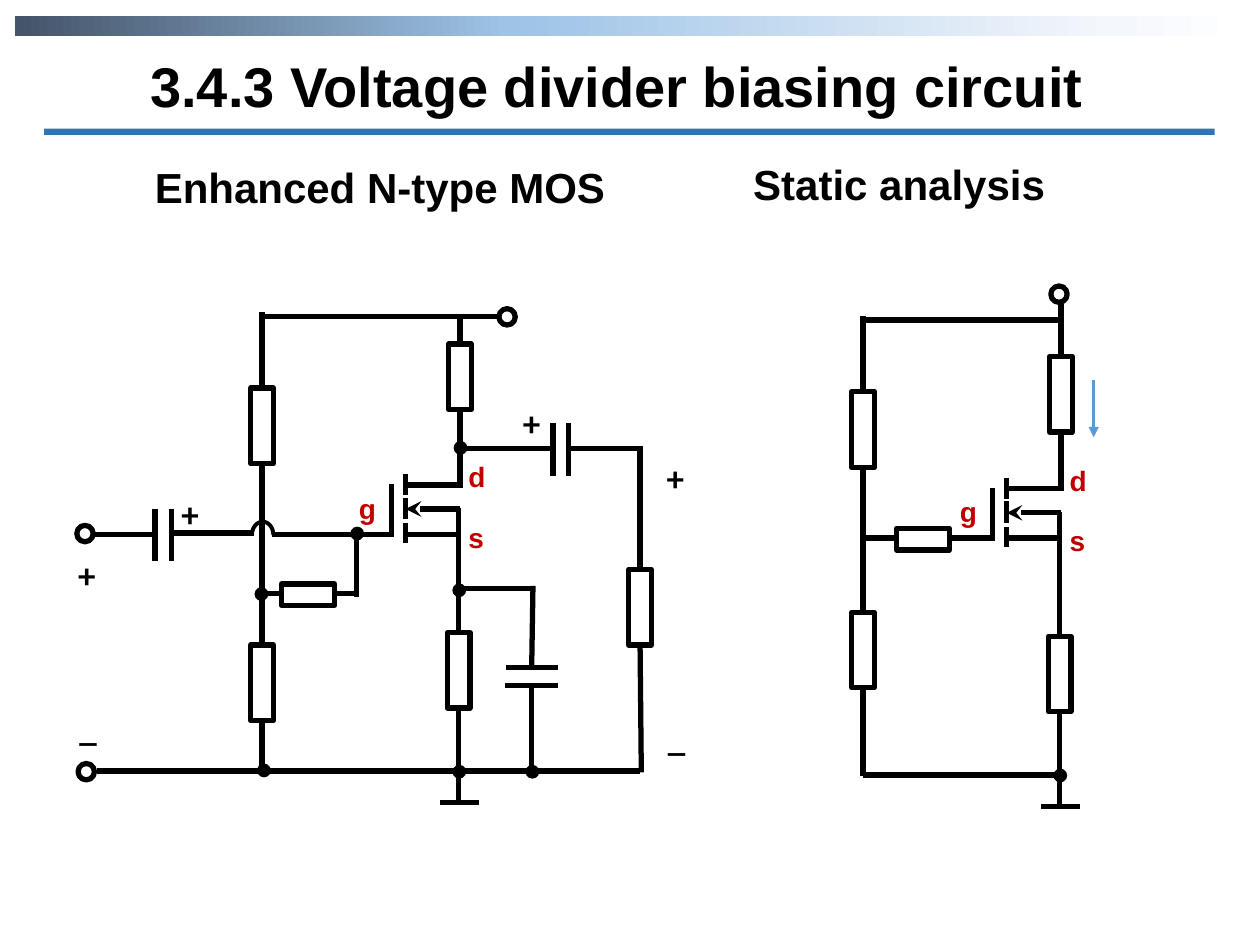
"""Build the voltage divider biasing slide: an amplifier circuit beside its static equivalent."""
from lxml.etree import SubElement
from pptx import Presentation
from pptx.dml.color import RGBColor
from pptx.enum.shapes import MSO_CONNECTOR, MSO_SHAPE
from pptx.enum.text import MSO_AUTO_SIZE, PP_ALIGN
from pptx.oxml.ns import qn
from pptx.util import Pt

PX = 9144
BLACK = RGBColor(0x00, 0x00, 0x00)
WHITE = RGBColor(0xFF, 0xFF, 0xFF)
RED = RGBColor(0xC0, 0x00, 0x00)
RULE_BLUE = RGBColor(0x2E, 0x75, 0xB6)
ARROW_BLUE = RGBColor(0x5B, 0x9B, 0xD5)
BANNER_STOPS = [(0, "44546A"), (40, "9DC3E6"), (89, "F4F7FC"), (100, "FFFFFF")]

presentation = Presentation()
presentation.slide_width = 1000 * PX
presentation.slide_height = 750 * PX
slide = presentation.slides.add_slide(presentation.slide_layouts[6])


def add_wire(x1, y1, x2, y2, color=BLACK, width=3, head=None):
    wire = slide.shapes.add_connector(
        MSO_CONNECTOR.STRAIGHT, x1 * PX, y1 * PX, x2 * PX, y2 * PX)
    wire.line.color.rgb = color
    wire.line.width = Pt(width)
    if head:
        SubElement(wire.line._get_or_add_ln(), qn("a:tailEnd"), type=head)
    SubElement(wire._element.spPr, qn("a:effectLst"))
    return wire


def add_text(text, x, y, width, height, size, color=BLACK, font="Arial",
             align=PP_ALIGN.JUSTIFY, inset=True):
    frame = slide.shapes.add_textbox(x * PX, y * PX, width * PX, height * PX).text_frame
    frame.word_wrap = inset
    frame.auto_size = MSO_AUTO_SIZE.SHAPE_TO_FIT_TEXT
    if not inset:
        frame.margin_left = frame.margin_right = frame.margin_top = frame.margin_bottom = 0
    paragraph = frame.paragraphs[0]
    paragraph.text = text
    paragraph.alignment = align
    paragraph.font.name = font
    paragraph.font.size = Pt(size)
    paragraph.font.bold = True
    paragraph.font.color.rgb = color


banner = slide.shapes.add_shape(MSO_SHAPE.RECTANGLE, 12 * PX, 13 * PX, 976 * PX, 16 * PX)
banner.shadow.inherit = False
banner.line.fill.background()
banner.fill.gradient()
banner.fill.gradient_angle = 0
stop_list = banner._element.spPr.find(".//" + qn("a:gsLst"))
for stop in list(stop_list):
    stop_list.remove(stop)
for position, color in BANNER_STOPS:
    stop = SubElement(stop_list, qn("a:gs"), pos=str(position * 1000))
    SubElement(stop, qn("a:srgbClr"), val=color)

add_text("3.4.3 Voltage divider biasing circuit ", 67, 36, 858, 64, 32, align=PP_ALIGN.CENTER)
rule = slide.shapes.add_shape(MSO_SHAPE.RECTANGLE, 35 * PX, 102 * PX, 929 * PX, 5 * PX)
rule.shadow.inherit = False
rule.fill.solid()
rule.fill.fore_color.rgb = RULE_BLUE
rule.line.fill.background()
add_text("Enhanced N-type MOS", 113, 123, 378, 50, 24)
add_text("Static analysis", 588, 121, 263, 50, 24)

for x, y, upper_end, lower_end in [
    (355, 502, (364, 403), (364, 637)),
    (832, 505, (841, 406), (841, 640)),
    (499, 452, (508, 354), (509, 613)),
]:
    resistor = slide.shapes.add_shape(MSO_SHAPE.RECTANGLE, x * PX, y * PX, 18 * PX, 60 * PX)
    resistor.shadow.inherit = False
    resistor.fill.background()
    resistor.line.color.rgb = BLACK
    resistor.line.width = Pt(3)
    add_wire(*upper_end, x + 9, y).end_connect(resistor, 0)
    add_wire(x + 9, y + 60, *lower_end).begin_connect(resistor, 2)

for dx, dy in [(0, 0), (477, 3)]:
    for x1, y1, x2, y2, head in [
        (322, 376, 322, 393, None),
        (322, 395, 322, 412, None),
        (322, 415, 322, 431, None),
        (322, 385, 365, 385, None),
        (322, 424, 365, 424, None),
        (365, 404, 322, 404, "stealth"),
        (311, 425, 311, 384, None),
        (349, 637, 380, 637, None),
    ]:
        add_wire(x1 + dx, y1 + dy, x2 + dx, y2 + dy, head=head)
    for terminal, x, y in [("g", 275, 385), ("s", 362, 408), ("d", 362, 360)]:
        add_text(terminal, x + dx, y + dy, 36, 37, 16, RED)

static_wires = [
    (685, 616, 685, 251), (685, 615, 842, 615), (842, 240, 842, 390),
    (685, 427, 790, 427), (683, 254, 841, 254),
]
supply_and_gate_wires = [
    (208, 613, 208, 248), (77, 612, 508, 612), (365, 251, 365, 387),
    (216, 424, 313, 424), (207, 251, 398, 251),
    (208, 471, 283, 471), (283, 425, 283, 474),
]
bypass_capacitor = [
    (363, 467, 424, 467), (423, 465, 422, 530), (422, 545, 422, 612),
    (402, 530, 443, 530), (401, 544, 443, 544),
]
input_capacitor = [
    (136, 445, 136, 404), (123, 404, 123, 445), (122, 424, 75, 424), (136, 423, 202, 423),
]
output_capacitor = [
    (451, 378, 451, 336), (439, 336, 439, 378), (439, 356, 365, 356), (509, 356, 453, 356),
]
for ends in (static_wires + supply_and_gate_wires + bypass_capacitor
             + input_capacitor + output_capacitor):
    add_wire(*ends)
add_wire(868, 302, 868, 347, ARROW_BLUE, 1.75, "triangle")

for x, y, width, height, rotation in [
    (833, 283, 18, 60, 0), (724, 407, 17, 42, 90), (676, 486, 18, 60, 0),
    (676, 311, 18, 60, 0), (356, 273, 18, 52, 0), (199, 512, 18, 60, 0),
    (199, 308, 18, 60, 0), (236, 451, 17, 42, 90),
]:
    resistor = slide.shapes.add_shape(
        MSO_SHAPE.RECTANGLE, x * PX, y * PX, width * PX, height * PX)
    resistor.rotation = rotation
    resistor.shadow.inherit = False
    resistor.fill.solid()
    resistor.fill.fore_color.rgb = WHITE
    resistor.line.color.rgb = BLACK
    resistor.line.width = Pt(3)

for x, y in [(834, 227), (396, 245), (62, 606), (61, 417)]:
    terminal = slide.shapes.add_shape(MSO_SHAPE.OVAL, x * PX, y * PX, 13 * PX, 13 * PX)
    terminal.shadow.inherit = False
    terminal.fill.background()
    terminal.line.color.rgb = BLACK
    terminal.line.width = Pt(3)

for x, y in [(836, 610), (359, 607), (202, 466), (359, 463), (360, 350),
             (204, 606), (417, 607), (278, 418)]:
    node = slide.shapes.add_shape(MSO_SHAPE.OVAL, x * PX, y * PX, 11 * PX, 11 * PX)
    node.shadow.inherit = False
    node.fill.solid()
    node.fill.fore_color.rgb = BLACK
    node.line.fill.background()

for sign, x, y in [("_", 63, 561), ("+", 62, 439), ("+", 144, 391),
                   ("+", 415, 319), ("_", 530, 569), ("+", 529, 362)]:
    add_text(sign, x, y, 14, 34, 20, font="Calibri", inset=False)

wire_hop = slide.shapes.add_shape(MSO_SHAPE.ARC, 200 * PX, 414 * PX, 17 * PX, 21 * PX)
wire_hop.adjustments[0] = 109.48
wire_hop.adjustments[1] = 0
wire_hop.shadow.inherit = False
wire_hop.fill.background()
wire_hop.line.color.rgb = BLACK
wire_hop.line.width = Pt(2.25)

presentation.save("out.pptx")
